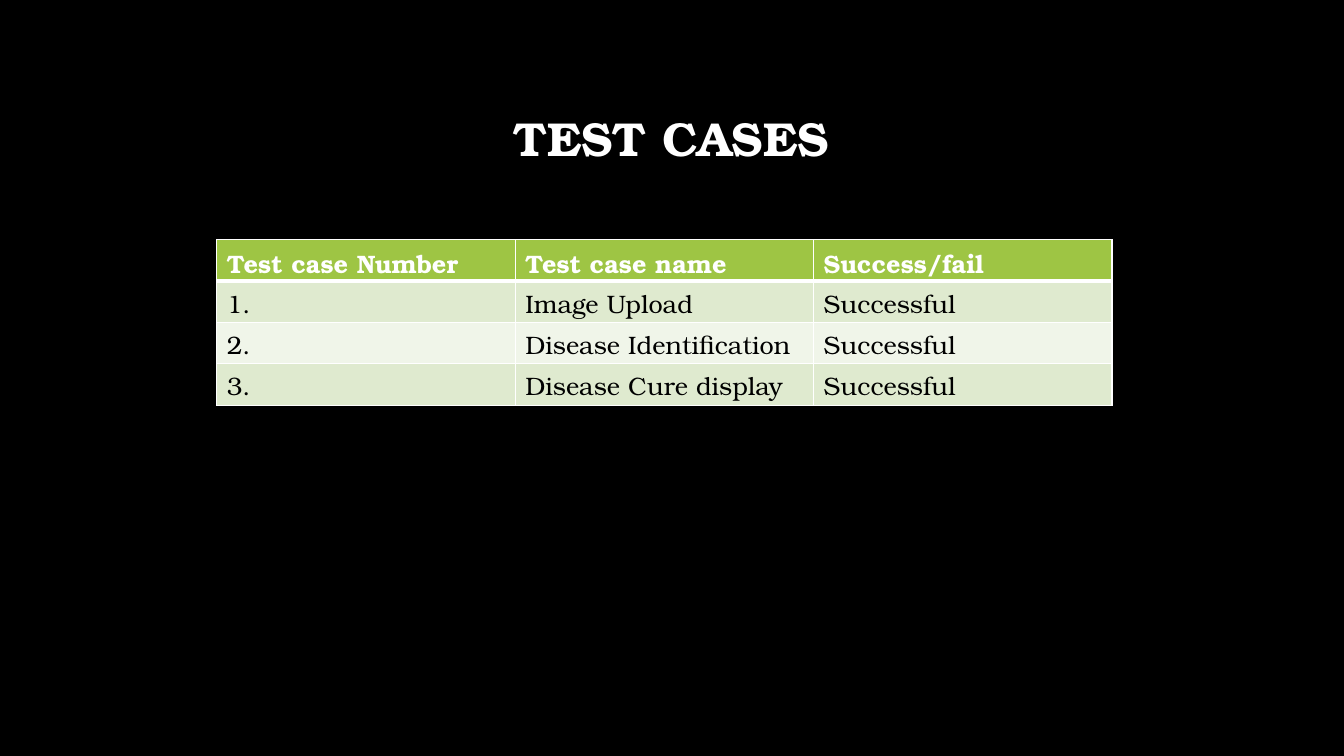
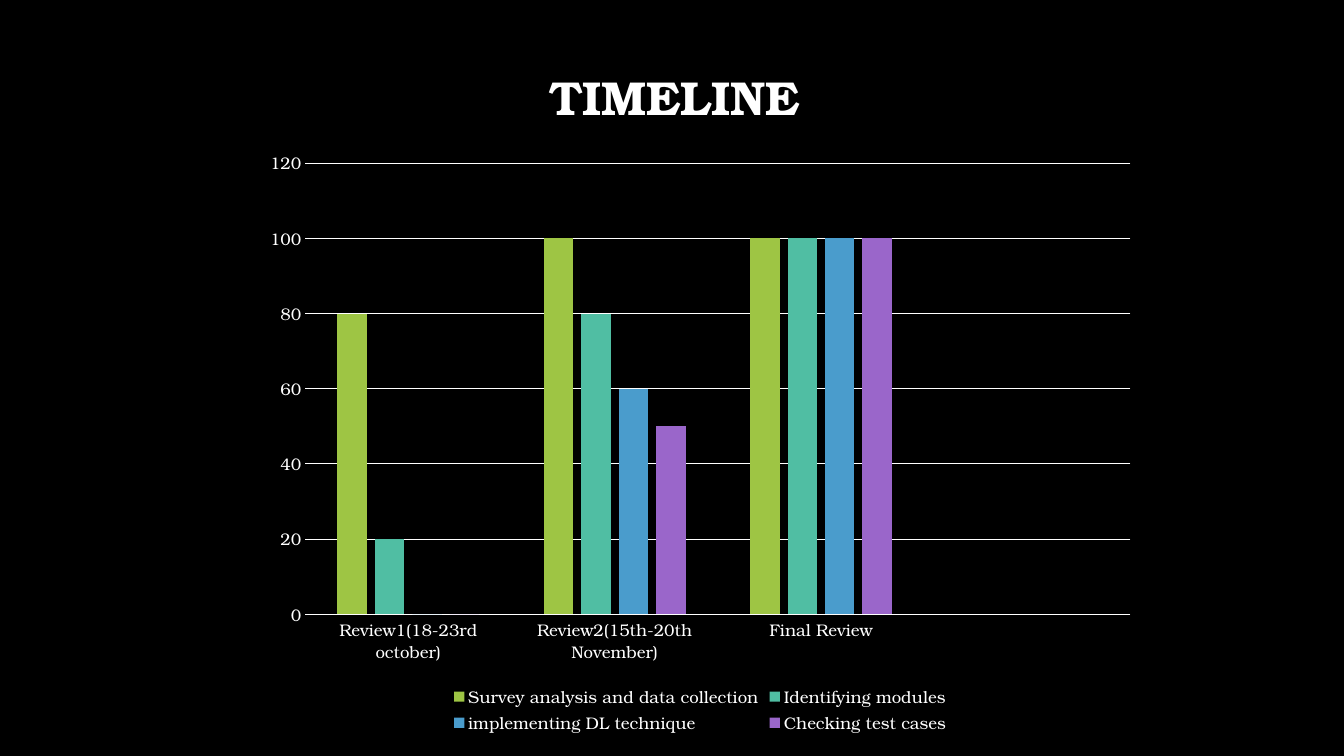
"""Build the test case and timeline slides."""
from lxml.etree import SubElement as Sub
from pptx import Presentation as Deck
from pptx.chart.data import CategoryChartData as Data
from pptx.dml.color import RGBColor as Color
from pptx.enum.chart import XL_CHART_TYPE as Kind, XL_LEGEND_POSITION as Place, XL_TICK_MARK as Tick
from pptx.enum.text import MSO_ANCHOR as Anchor, PP_ALIGN as Align
from pptx.oxml.ns import qn
from pptx.util import Inches, Pt

FACE = "TeX Gyre Bonum"
BLACK, WHITE, GREEN = "000000", "FFFFFF", "9EC544"
BANDS = ("DFEACF", "F0F5E9")
TITLE = {"name": FACE, "size": Pt(34), "bold": True}
HEAD = {"name": FACE, "size": Pt(18), "bold": True}
BODY = {**HEAD, "bold": False}
LABEL = {"name": FACE, "size": Pt(12), "bold": False}
CASES = [
    ("Test case Number", "Test case name", "Success/fail"),
    ("1.", "Image Upload", "Successful"),
    ("2.", "Disease Identification", "Successful"),
    ("3.", "Disease Cure display", "Successful"),
]
STEPS = ("Review1(18-23rd october)", "Review2(15th-20th November)", "Final Review", "")
TASKS = [
    ("Survey analysis and data collection", (80, 100, 100, None), GREEN),
    ("Identifying modules", (20, 80, 100, None), "50BEA3"),
    ("implementing DL technique", (0, 60, 100, None), "4A9CCC"),
    ("Checking test cases", (0, 50, 100, None), "9A66CA"),
]


def tint(part, tone):
    """Give a fill a solid colour."""
    part.solid()
    part.fore_color.rgb = Color.from_string(tone)


def style(font, form, tone):
    """Apply format values and a colour to a font."""
    for key, value in form.items():
        setattr(font, key, value)
    tint(font.fill, tone)


def rule(line):
    """Draw a thin white chart line."""
    line.width = Pt(0.75)
    tint(line.fill, WHITE)


def add_page(deck, title, left, top):
    """Add a black slide with a centred title."""
    page = deck.slides.add_slide(deck.slide_layouts[6])
    tint(page.background.fill, BLACK)
    box = page.shapes.add_textbox(Inches(left), Inches(top), Inches(11.32), Inches(1.45))
    frame = box.text_frame
    frame.word_wrap = True
    frame.vertical_anchor = Anchor.MIDDLE
    para = frame.paragraphs[0]
    para.text = title
    para.alignment = Align.CENTER
    para.line_spacing = 0.9
    style(para.runs[0].font, TITLE, WHITE)
    return page


def edge(cell, sides):
    """Draw white borders of the given point widths."""
    props = cell._tc.get_or_add_tcPr()
    for side, width in sides.items():
        line = Sub(props, qn(f"a:ln{side}"), w=str(Pt(width)))
        Sub(Sub(line, qn("a:solidFill")), qn("a:srgbClr"), val=WHITE)


def add_grid(page, rows):
    """Add a table with a green head and banded rows."""
    wide = len(rows[0])
    frame = page.shapes.add_table(len(rows), wide, Inches(2.15), Inches(2.38),
                                  Inches(2.96 * wide), Inches(0.41 * len(rows)))
    for r, row in enumerate(rows):
        form, ink, tone = (BODY, BLACK, BANDS[(r - 1) % 2]) if r else (HEAD, WHITE, GREEN)
        for c, text in enumerate(row):
            cell = frame.table.cell(r, c)
            cell.text = text
            style(cell.text_frame.paragraphs[0].runs[0].font, form, ink)
            edge(cell, {"L": 1, "R": 1, "T": 3 if r == 1 else 1, "B": 1 if r else 3})
            tint(cell.fill, tone)


def add_bars(page, steps, tasks):
    """Add a clustered column chart with a legend below."""
    data = Data()
    data.categories = steps
    for name, values, _ in tasks:
        data.add_series(name, values)
    chart = page.shapes.add_chart(Kind.COLUMN_CLUSTERED, Inches(2.5), Inches(1.39),
                                  Inches(8.89), Inches(5.93), data).chart
    style(chart.font, LABEL, WHITE)
    chart.has_title = False
    chart.has_legend = True
    chart.legend.position = Place.BOTTOM
    chart.legend.include_in_layout = False
    style(chart.legend.font, LABEL, WHITE)
    plot = chart.plots[0]
    plot.gap_width, plot.overlap, plot.vary_by_categories = 219, -27, False
    for bars, (_, _, tone) in zip(plot.series, tasks):
        tint(bars.format.fill, tone)
        bars.invert_if_negative = False
    base, scale = chart.category_axis, chart.value_axis
    for axis in (base, scale):
        axis.major_tick_mark = axis.minor_tick_mark = Tick.NONE
        style(axis.tick_labels.font, LABEL, WHITE)
    rule(base.format.line)
    scale.format.line.fill.background()
    scale.minimum_scale, scale.maximum_scale, scale.major_unit = 0, 120, 20
    scale.has_major_gridlines = True
    rule(scale.major_gridlines.format.line)


def main():
    """Build and save both slides."""
    deck = Deck()
    deck.slide_width, deck.slide_height = Inches(13.33), Inches(7.5)
    add_grid(add_page(deck, "TEST CASES", 1, 0.67), CASES)
    add_bars(add_page(deck, "TIMELINE", 1.03, 0.27), STEPS, TASKS)
    deck.save("out.pptx")


if __name__ == "__main__":
    main()
